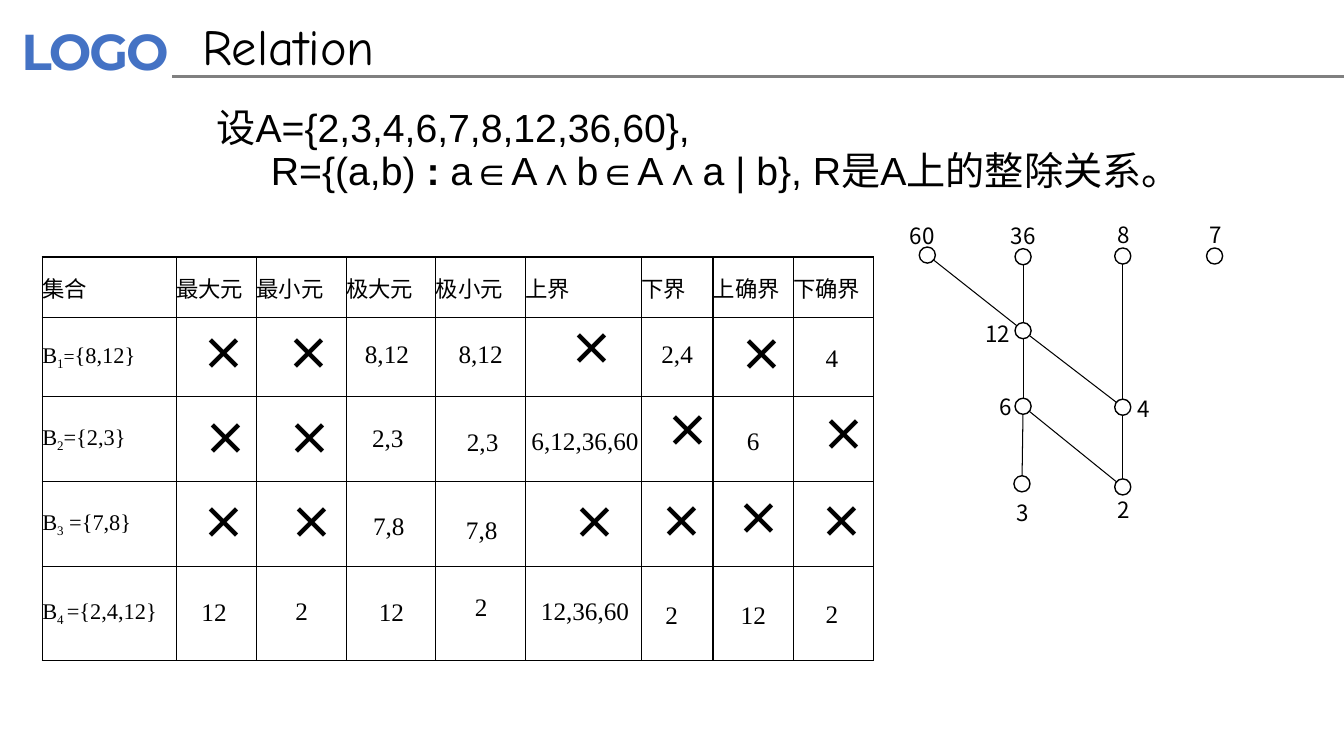
"""Build the slide about extremal elements and bounds of a divisibility relation."""
from math import hypot

from lxml.etree import SubElement
from pptx import Presentation
from pptx.dml.color import RGBColor
from pptx.enum.shapes import MSO_CONNECTOR as Line, MSO_SHAPE as Shape
from pptx.enum.text import MSO_ANCHOR as Anchor, MSO_AUTO_SIZE as Fit, PP_ALIGN as Align
from pptx.oxml import parse_xml
from pptx.oxml.ns import nsdecls, qn
from pptx.util import Pt

COLORS = {"ink": "000000", "logo": "4472C4", "rule": "808080"}
CJK = "Noto Sans CJK SC"
SERIF = "Times New Roman"


def write(frame, paragraphs, align=Align.LEFT, leading=None, indents=(), **base):
    """Fill a frame with paragraphs, each a list of (text, format) runs."""
    for index, runs in enumerate(paragraphs):
        paragraph = frame.paragraphs[0] if index == 0 else frame.add_paragraph()
        paragraph.alignment = align
        if leading:
            paragraph.line_spacing = leading
        if indents:
            properties = paragraph._p.get_or_add_pPr()
            properties.set("marL", str(Pt(indents[index])))
            properties.set("indent", "0")
        for words, changes in runs:
            style = {"size": 16, "font": CJK, "color": "ink", "bold": False, **base, **changes}
            run = paragraph.add_run()
            run.text = words
            run.font.size = Pt(style["size"])
            run.font.name = style["font"]
            run.font.bold = style["bold"]
            run.font.color.rgb = RGBColor.from_string(COLORS[style["color"]])
            properties = run._r.get_or_add_rPr()
            SubElement(properties, qn("a:ea")).set("typeface", CJK)
            for name in ("baseline", "spc"):
                if name in style:
                    properties.set(name, str(style[name]))


class Board:
    """Hold the presentation, its slide and the way each element is drawn."""

    def __init__(self, width, height):
        """Open a title-only slide of the given size."""
        self.deck = Presentation()
        self.deck.slide_width, self.deck.slide_height = Pt(width), Pt(height)
        self.slide = self.deck.slides.add_slide(self.deck.slide_layouts[5])
        self.shapes = self.slide.shapes

    def title(self, words, left, top, width, height, **style):
        """Place and format the title."""
        title = self.shapes.title
        title.left, title.top, title.width, title.height = map(Pt, (left, top, width, height))
        frame = title.text_frame
        frame.auto_size = Fit.NONE
        frame.vertical_anchor = Anchor.MIDDLE
        write(frame, [[(words, {})]], **style)

    def text(self, paragraphs, left, top, width, height, wrap=True, inset=(7.2, 3.6), **style):
        """Add a text box."""
        frame = self.shapes.add_textbox(*map(Pt, (left, top, width, height))).text_frame
        frame.word_wrap = wrap
        frame.auto_size = Fit.SHAPE_TO_FIT_TEXT
        frame.margin_left = frame.margin_right = Pt(inset[0])
        frame.margin_top = frame.margin_bottom = Pt(inset[1])
        write(frame, paragraphs, **style)

    def label(self, words, x, y, width, height, **style):
        """Add a short text centred on a point."""
        self.text([[(words, {})]], x - width / 2, y - height / 2, width, height, **style)

    def line(self, x1, y1, x2, y2, color="ink", weight=0.75):
        """Add a straight line."""
        line = self.shapes.add_connector(Line.STRAIGHT, *map(Pt, (x1, y1, x2, y2)))
        line.line.color.rgb = RGBColor.from_string(COLORS[color])
        line.line.width = Pt(weight)
        SubElement(line._element.spPr, qn("a:effectLst"))

    def circle(self, x, y, radius):
        """Add an open circle around a point."""
        box = map(Pt, (x - radius, y - radius, 2 * radius, 2 * radius))
        circle = self.shapes.add_shape(Shape.OVAL, *box)
        circle.shadow.inherit = False
        circle.fill.background()
        circle.line.color.rgb = RGBColor.from_string(COLORS["ink"])
        circle.line.width = Pt(1)

    def table(self, rows, left, top, widths, heights):
        """Add a ruled table; each cell is a list of runs."""
        box = map(Pt, (left, top, sum(widths), sum(heights)))
        table = self.shapes.add_table(len(heights), len(widths), *box).table
        table.first_row = table.horz_banding = False
        for column, width in zip(table.columns, widths):
            column.width = Pt(width)
        for row, height in zip(table.rows, heights):
            row.height = Pt(height)
        for cell in table.iter_cells():
            cell.margin_left = cell.margin_right = cell.margin_top = cell.margin_bottom = 0
            cell.vertical_anchor = Anchor.MIDDLE
            for side in ("lnL", "lnR", "lnT", "lnB"):
                cell._tc.get_or_add_tcPr().append(parse_xml(
                    f'<a:{side} {nsdecls("a")} w="{Pt(1)}"><a:solidFill>'
                    f'<a:srgbClr val="{COLORS["ink"]}"/></a:solidFill></a:{side}>'))
            cell.fill.background()
        for r, row in enumerate(rows):
            for c, runs in enumerate(row):
                write(table.cell(r, c).text_frame, [runs])


board = Board(960, 540)
board.text([[("LOGO", {})]], 5.8, 9.4, 133.9, 53.3, inset=(9.4, 5),
           size=36, font="Montserrat", color="logo", bold=True, spc=-150)
board.line(123, 54.7, 960, 54.7, color="rule", weight=2)
board.title("Relation", 137.5, 7.2, 453.6, 51, size=36, font="Comic Neue")
board.text([[("设A={2,3,4,6,7,8,12,36,60},", {})],
            [("R={(a,b) ", {}), (": ", {"bold": True}),
             ("a∈A∧b∈A∧a | b}, R是A上的整除关系。", {})]],
           147.6, 74.2, 715.7, 68.4, size=28, font="Arial", leading=0.9, indents=(0, 38.9))

HEADINGS = "集合 最大元 最小元 极大元 极小元 上界 下界 上确界 下确界".split()
SETS = [("1", [("=", {"size": 14}), ("{8,12}", {})]),
        ("2", [("={2,3}", {})]),
        ("3", [(" ={7,8} ", {})]),
        ("4 ", [("={2,4,12}", {})])]
set_rows = [[[(words, {"font": SERIF, **style}) for words, style in
              [("B", {}), (number, {"baseline": -25000}), *members]]]
            for number, members in SETS]
board.table([[[(heading, {})] for heading in HEADINGS], *set_rows], 30.2, 183.6,
            [95.8, 57.4, 64, 64, 64, 83, 51, 57.4, 57.4], [43.4, 56.4, 60.8, 60.8, 66.6])

RADIUS = 5.75
NODES = {"60": (662.4, 182.2, -3.6, -14), "36": (730.8, 183.4, 0, -15),
         "8": (802, 182.9, 0.7, -15), "7": (867.6, 182.9, 0.7, -15),
         "12": (730.8, 236.2, -18, 2), "6": (730.8, 290.2, -12.2, 0.3),
         "4": (802, 290.9, 15.2, 1), "3": (730, 345.6, 0.7, 20.5),
         "2": (802, 347.8, 0.7, 16.2)}
COVERS = [("60", "12"), ("36", "12"), ("12", "6"), ("6", "3"), ("8", "4"),
          ("4", "2"), ("6", "2"), ("12", "4")]
for upper, lower in COVERS:
    (x1, y1), (x2, y2) = NODES[upper][:2], NODES[lower][:2]
    trim = RADIUS / hypot(x2 - x1, y2 - y1)
    dx, dy = trim * (x2 - x1), trim * (y2 - y1)
    board.line(x1 + dx, y1 + dy, x2 - dx, y2 - dy)
for number, (x, y, dx, dy) in NODES.items():
    board.circle(x, y, RADIUS)
    board.label(number, x + dx, y + dy, 41.8, 26.6, align=Align.CENTER)

ANSWERS = [
    [("×", 153, 252), ("×", 213.5, 252), ("8,12", 276.5, 252.7), ("8,12", 343.4, 252.7),
     ("×", 415.8, 248.4), ("2,4", 483.8, 252.7), ("×", 537.5, 252.7), ("4", 594.4, 255.6)],
    [("×", 154.4, 312.5), ("×", 214.2, 312.5), ("2,3", 277.2, 312.5), ("2,3", 344.9, 315.4),
     ("6,12,36,60", 418, 314.6), ("×", 484.2, 307.4), ("6", 538.2, 314.6), ("×", 595.8, 310.3)],
    [("×", 153, 373), ("×", 215.6, 373), ("7,8", 277.9, 375.1), ("7,8", 344.2, 378),
     ("×", 418, 373), ("×", 479.9, 372.2), ("×", 535.3, 370.1), ("×", 594.4, 372.2)],
    [("12", 153, 437), ("2", 215.6, 436.3), ("12", 279.7, 437), ("2", 343.8, 433.4),
     ("12,36,60", 418, 436.3), ("2", 479.9, 439.2), ("12", 538.2, 439.2), ("2", 594.4, 438.5)],
]
for answer_row in ANSWERS:
    for answer, x, y in answer_row:
        if answer == "×":
            board.label(answer, x, y, 32.4, 46, wrap=False, size=32, bold=True,
                        align=Align.CENTER)
        else:
            width = 14.4 + 9 * len(answer) - 4.5 * answer.count(",")
            board.label(answer, x, y, width, 28.8, wrap=False, size=18, font=SERIF)

board.deck.save("out.pptx")
